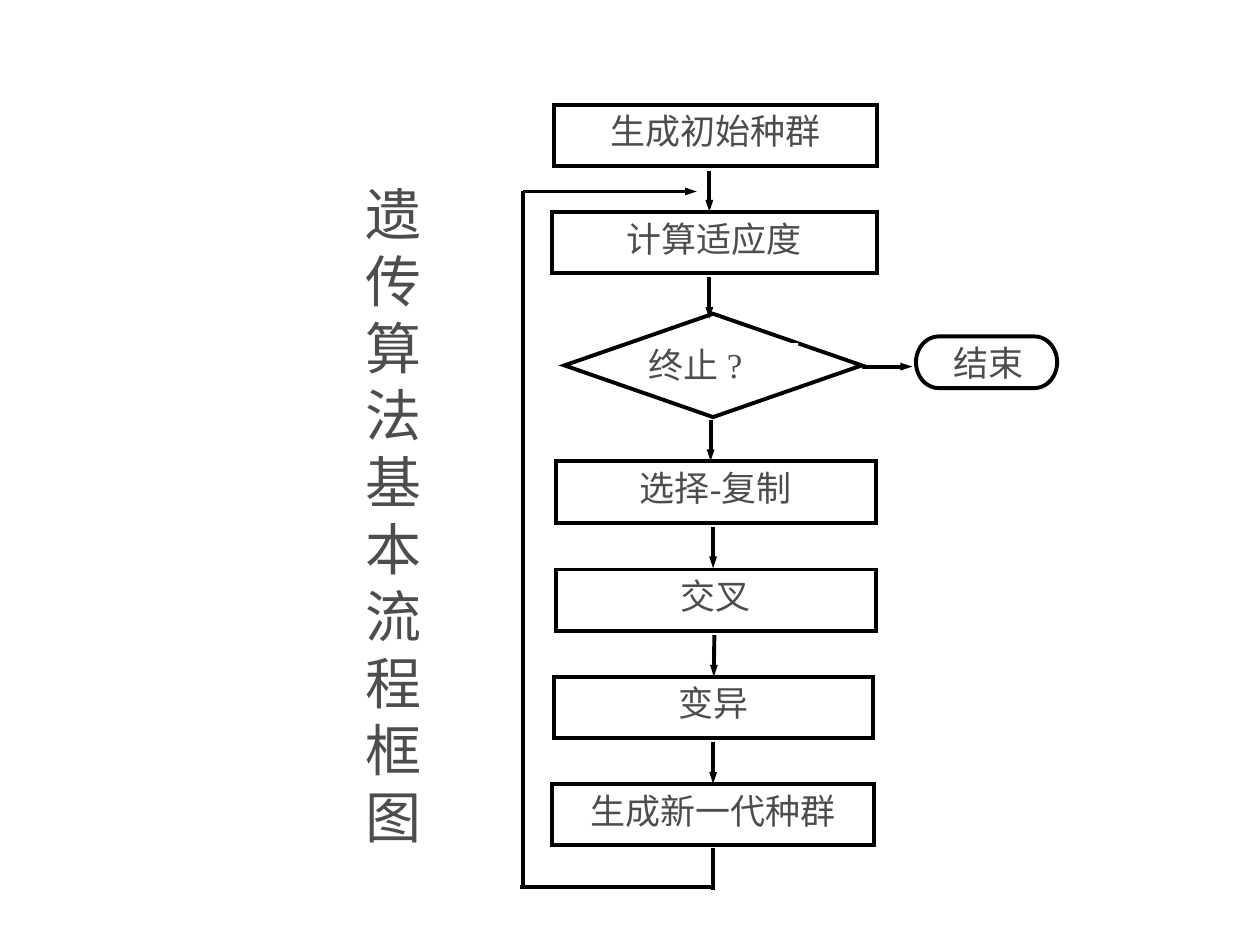
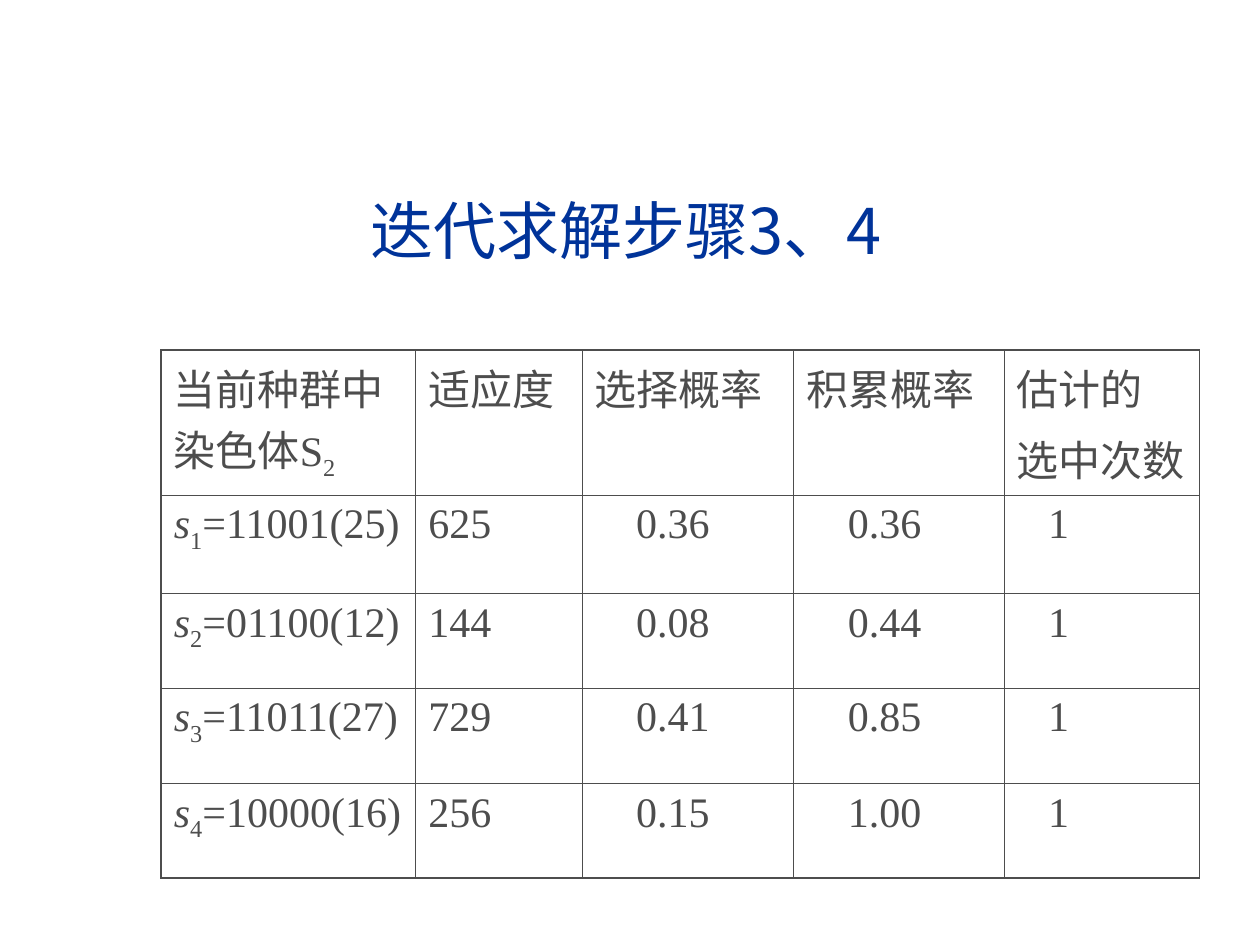
from lxml import etree
from pptx import Presentation, util as u
from pptx.dml.color import RGBColor
from pptx.enum import shapes, text
from pptx.oxml.ns import qn

BLACK, WHITE, GREY, BLUE = "000000", "FFFFFF", "4D4D4D", "003399"
SANS, SERIF = "Noto Sans CJK SC", "Times New Roman"
KINDS = shapes.MSO_SHAPE
ALIGN = text.PP_ALIGN


def color(value):
    return RGBColor.from_string(value)


def style_text(frame, size, font_name, font_color, alignment=ALIGN.LEFT, spacing=None):
    frame.word_wrap = True
    for paragraph in frame.paragraphs:
        paragraph.alignment = alignment
        if spacing:
            paragraph.line_spacing = u.Pt(spacing)
        for run in paragraph.runs:
            run.font.size = u.Pt(size)
            run.font.color.rgb = color(font_color)
            run.font.name = font_name
            east_asian = etree.SubElement(run.font._element, qn("a:ea"))
            east_asian.set("typeface", SANS)


presentation = Presentation()
presentation.slide_width = u.Inches(10)
presentation.slide_height = u.Inches(7.5)

titles = [
    ("遗传算法基本流程框图", 2.8, 1.39, 0.87, 5.39, 32, GREY, 38.3),
    ("迭代求解步骤3、4", 2.84, 1.54, 7.16, 0.56, 36, BLUE, None),
]
slides = []
for title, left, top, width, height, size, title_color, spacing in titles:
    slide = presentation.slides.add_slide(presentation.slide_layouts[6])
    box = slide.shapes.add_textbox(*map(u.Inches, (left, top, width, height)))
    box.text_frame.text = title
    box.text_frame.vertical_anchor = text.MSO_ANCHOR.MIDDLE
    style_text(box.text_frame, size, SANS, title_color, spacing=spacing)
    slides.append(slide)
flow_slide, table_slide = slides

STEP_HEIGHT = 0.49
step_boxes = [
    ("生成初始种群", 4.4, 0.83, 2.56),
    ("计算适应度", 4.38, 1.68, 2.58),
    ("选择-复制", 4.41, 3.66, 2.54),
    ("交叉", 4.41, 4.52, 2.54),
    ("变异", 4.4, 5.37, 2.53),
    ("生成新一代种群", 4.38, 6.22, 2.56),
]
flow_shapes = [
    (KINDS.RECTANGLE, label, left, top, width, STEP_HEIGHT, BLACK, ALIGN.CENTER)
    for label, left, top, width in step_boxes
] + [
    (KINDS.FLOWCHART_DECISION, "", 4.48, 2.49, 2.36, 0.82, BLACK, ALIGN.CENTER),
    (KINDS.RECTANGLE, "终止 ?", 5.15, 2.73, 1.18, 0.33, WHITE, ALIGN.JUSTIFY),
    (KINDS.FLOWCHART_TERMINATOR, "", 7.27, 2.67, 1.12, 0.41, BLACK, ALIGN.CENTER),
    (KINDS.RECTANGLE, "结束", 7.55, 2.72, 0.59, 0.33, WHITE, ALIGN.CENTER),
]
steps = {}
for kind, label, left, top, width, height, outline, alignment in flow_shapes:
    shape = flow_slide.shapes.add_shape(kind, *map(u.Inches, (left, top, width, height)))
    shape.shadow.inherit = False
    shape.fill.solid()
    shape.fill.fore_color.rgb = color(WHITE)
    shape.line.color.rgb = color(outline)
    shape.line.width = u.Pt(2.25 if outline == BLACK else 0.75)
    etree.SubElement(shape.line._get_or_add_ln(), qn("a:miter")).set("lim", "800000")
    if label:
        frame = shape.text_frame
        frame.text = label
        frame.vertical_anchor = text.MSO_ANCHOR.TOP
        inset = 0.05 if outline == BLACK else 0
        frame.margin_top = frame.margin_bottom = u.Inches(inset)
        frame.margin_left = frame.margin_right = u.Inches(2 * inset)
        style_text(frame, 20, SERIF, GREY, alignment, 23.5)
        steps[label] = shape

flow_lines = [
    (6.84, 2.91, 7.24, 2.91, True, None),
    (5.63, 1.36, 5.63, 1.68, True, None),
    (5.63, 2.2, 5.63, 2.53, True, None),
    (5.64, 3.33, 5.64, 3.66, True, None),
    (5.66, 4.18, 5.66, 4.51, True, None),
    (5.67, 5.04, 5.67, 5.37, True, "变异"),
    (5.66, 5.89, 5.66, 6.22, True, "生成新一代种群"),
    (5.66, 6.73, 5.66, 7.06, False, None),
    (5.66, 7.04, 4.13, 7.04, False, None),
    (4.15, 7.03, 4.15, 1.52, False, None),
    (4.15, 1.52, 5.53, 1.52, True, None),
]
for x1, y1, x2, y2, has_arrow, target in flow_lines:
    connector = flow_slide.shapes.add_connector(
        shapes.MSO_CONNECTOR.STRAIGHT, *map(u.Inches, (x1, y1, x2, y2)))
    connector.line.color.rgb = color(BLACK)
    connector.line.width = u.Pt(2.25)
    if has_arrow:
        etree.SubElement(connector.line._get_or_add_ln(), qn("a:tailEnd"),
                         type="triangle", w="sm", len="med")
    etree.SubElement(connector._element.spPr, qn("a:effectLst"))
    if target:
        connector.end_connect(steps[target], 0)

rows = [
    [("当前种群中染色体S", "2", ""), "适应度", "选择概率", "积累概率", "估计的\n选中次数"],
    [("s", "1", "=11001(25)"), "625", "0.36", "0.36", "1"],
    [("s", "2", "=01100(12)"), "144", "0.08", "0.44", "1"],
    [("s", "3", "=11011(27)"), "729", "0.41", "0.85", "1"],
    [("s", "4", "=10000(16)"), "256", "0.15", "1.00", "1"],
]
column_widths = [2.02, 1.32, 1.68, 1.67, 1.55]
row_heights = [1.15, 0.78, 0.75, 0.76, 0.75]
value_indents = [0, 0, 0.33, 0.33, 0.25]
last_row, last_column = len(rows) - 1, len(column_widths) - 1

table = table_slide.shapes.add_table(
    len(rows), len(column_widths), u.Inches(1.28), u.Inches(2.78),
    u.Inches(sum(column_widths)), u.Inches(sum(row_heights))).table
table.first_row = table.horz_banding = False
for column, width in zip(table.columns, column_widths):
    column.width = u.Inches(width)
for row, height in zip(table.rows, row_heights):
    row.height = u.Inches(height)

for row_index, row in enumerate(rows):
    for column_index, content in enumerate(row):
        cell = table.cell(row_index, column_index)
        cell.fill.solid()
        cell.fill.fore_color.rgb = color(WHITE)
        frame = cell.text_frame
        if column_index == 0:
            for part in filter(None, content):
                frame.paragraphs[0].add_run().text = part
            symbol, subscript = frame.paragraphs[0].runs[:2]
            symbol.font.italic = row_index > 0
            subscript.font._element.set("baseline", "-25000")
        else:
            frame.text = content
        style_text(frame, 24, SERIF, GREY)
        for paragraph in frame.paragraphs:
            paragraph.space_before = u.Pt(6)
            if row_index and value_indents[column_index]:
                properties = paragraph._p.get_or_add_pPr()
                properties.set("marL", str(u.Inches(value_indents[column_index])))
                properties.set("indent", "0")

        outer_edges = [
            ("a:lnL", column_index == 0),
            ("a:lnR", column_index == last_column),
            ("a:lnT", row_index == 0),
            ("a:lnB", row_index == last_row),
        ]
        cell_properties = cell._tc.get_or_add_tcPr()
        for position, (tag, is_outer) in enumerate(outer_edges):
            border = etree.Element(qn(tag), w=str(u.Pt(1.08 if is_outer else 0.45)))
            fill = etree.SubElement(border, qn("a:solidFill"))
            etree.SubElement(fill, qn("a:srgbClr"), val=GREY)
            cell_properties.insert(position, border)

presentation.save("out.pptx")
